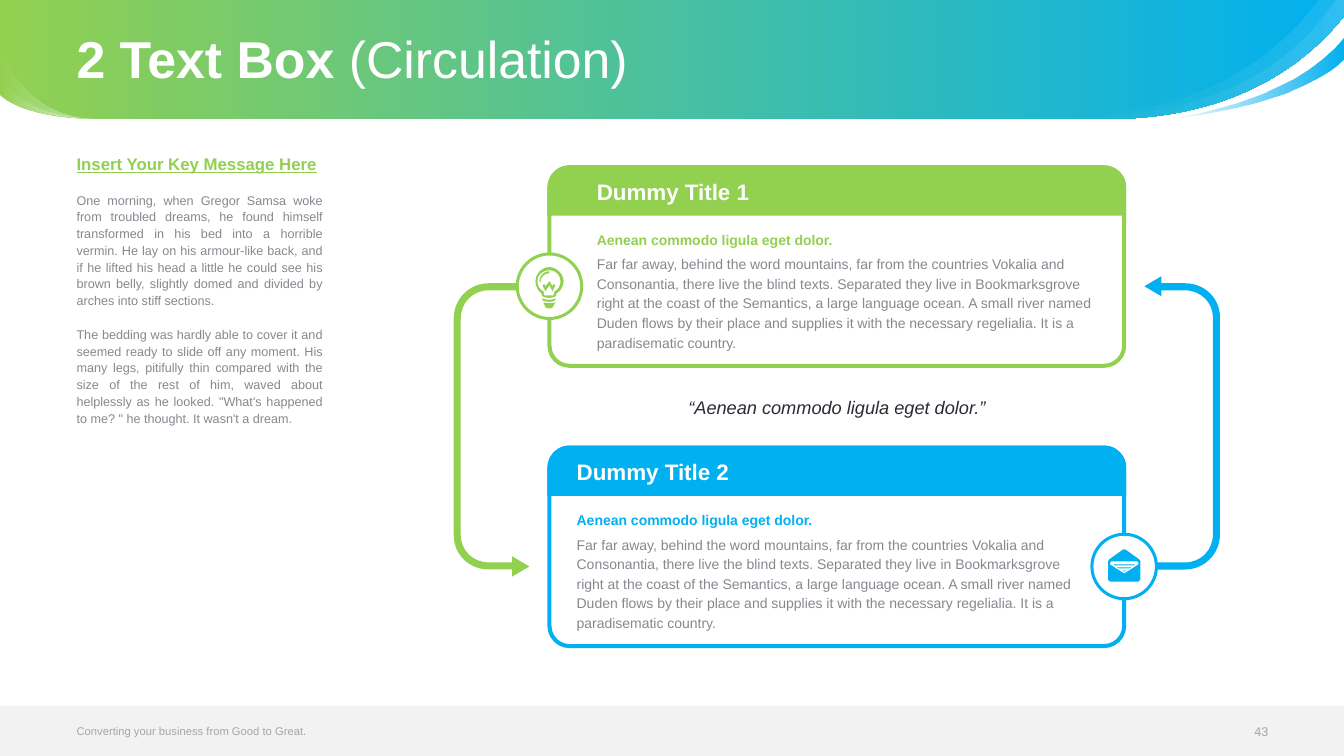
import pptx
import pptx.util
import pptx.dml.color
import pptx.enum.shapes
import pptx.enum.text
import pptx.oxml.ns
import lxml.etree

Inches, Pt = pptx.util.Inches, pptx.util.Pt
SHAPE = pptx.enum.shapes.MSO_SHAPE
ALIGN = pptx.enum.text.PP_ALIGN
MIDDLE = pptx.enum.text.MSO_ANCHOR.MIDDLE
qn = pptx.oxml.ns.qn

COLORS = {"green": "92D050", "blue": "00B0F0", "white": "FFFFFF", "band": "F2F2F2",
          "body": "85898F", "footer": "A6A6A6", "quote": "292C34"}

TITLE = [("2 Text Box ", True), ("(Circulation)", False)]
KEY_MESSAGE = "Insert Your Key Message Here"
STORY = [
    "One morning, when Gregor Samsa woke from troubled dreams, he found himself transformed in his bed into a horrible vermin. He lay on his armour-like back, and if he lifted his head a little he could see his brown belly, slightly domed and divided by arches into stiff sections.",
    "The bedding was hardly able to cover it and seemed ready to slide off any moment. His many legs, pitifully thin compared with the size of the rest of him, waved about helplessly as he looked. \"What's happened to me? \" he thought. It wasn't a dream.",
]
SUBTITLE = "Aenean commodo ligula eget dolor."
QUOTE = "“Aenean commodo ligula eget dolor.”"
CARD_TEXT = "Far far away, behind the word mountains, far from the countries Vokalia and Consonantia, there live the blind texts. Separated they live in Bookmarksgrove right at the coast of the Semantics, a large language ocean. A small river named Duden flows by their place and supplies it with the necessary regelialia. It is a paradisematic country."
FOOTER = "Converting your business from Good to Great."
PAGE = "43"

HEADER_PARTS = [
    ([(13.33, 0), (13.33, 0.16), (12.66, 1, 11.7, 1.17, 11.05, 1.18), (0.97, 1.18),
      (0.18, 1.17, 0, 0.94, 0, 0.94), (0, 0)],
     [(0, "green", 100), (1, "blue", 100)]),
    ([(13.33, 0), (13.33, 0.16), (12.24, 1.53, 10.39, 1.13, 10.34, 1.12),
      (10.4, 1.12, 12.32, 1.39, 13.24, 0)],
     [(0.15, "white", 0), (1, "white", 10)]),
    ([(11.57, 1.18), (11.57, 1.18, 12.82, 1.03, 13.33, 0.37), (13.33, 0.59),
      (13.33, 0.59, 12.94, 1.04, 11.57, 1.18)],
     [(0, "blue", 0), (1, "blue", 100)]),
    ([(13.33, 0), (13.33, 0.16), (12.23, 1.55, 10.34, 1.12, 10.34, 1.12),
      (11.89, 1.22, 12.7, 0.5, 13.07, 0)],
     [(0.15, "white", 0), (1, "white", 10)]),
] + [
    ([(0.98, 1.18), (0.18, 1.17, 0, 0.94, 0, 0.94), (0, top),
      (0, top, 0.18, 1.17, 0.98, 1.18)],
     [(0, "white", 0), (1, "white", 50)])
    for top in (0.76, 0.45)
]
ARROW = [(5.25, 5.62), (5.08, 5.52), (5.08, 5.58), (4.85, 5.58),
         (4.69, 5.58, 4.57, 5.46, 4.57, 5.31), (4.57, 3.16),
         (4.57, 3, 4.69, 2.88, 4.85, 2.88), (5.13, 2.88), (5.13, 2.81), (4.85, 2.81),
         (4.65, 2.81, 4.5, 2.97, 4.5, 3.16), (4.5, 5.31),
         (4.5, 5.5, 4.65, 5.65, 4.85, 5.65), (5.08, 5.65), (5.08, 5.72)]
BULB = [
    [(5.39, 3), (5.41, 3.05), (5.41, 3.05, 5.42, 3.06, 5.45, 3.06),
     (5.47, 3.06, 5.48, 3.05, 5.48, 3.05), (5.51, 3), (5.47, 3.01, 5.43, 3.01, 5.39, 3)],
    [(5.38, 2.96), (5.38, 2.98), (5.42, 3, 5.47, 3, 5.51, 2.98), (5.51, 2.96),
     (5.47, 2.98, 5.42, 2.98, 5.38, 2.96)],
    [(5.45, 2.65), (5.37, 2.65, 5.31, 2.72, 5.31, 2.79), (5.31, 2.84, 5.34, 2.89, 5.37, 2.91),
     (5.38, 2.94), (5.42, 2.96, 5.47, 2.96, 5.51, 2.94),
     (5.52, 2.91), (5.56, 2.89, 5.59, 2.84, 5.59, 2.79), (5.59, 2.72, 5.52, 2.65, 5.45, 2.65)],
    [(5.5, 2.89), (5.49, 2.93), (5.4, 2.93), (5.39, 2.89), (5.36, 2.88, 5.33, 2.84, 5.33, 2.79),
     (5.33, 2.73, 5.38, 2.68, 5.45, 2.68), (5.51, 2.68, 5.56, 2.73, 5.56, 2.79),
     (5.56, 2.84, 5.53, 2.88, 5.5, 2.89)],
    [(5.49, 2.82), (5.48, 2.84), (5.45, 2.79), (5.41, 2.84), (5.4, 2.82), (5.38, 2.83),
     (5.41, 2.89), (5.45, 2.83), (5.48, 2.89), (5.51, 2.83)],
    [(5.45, 2.71), (5.45, 2.69), (5.39, 2.69, 5.35, 2.74, 5.35, 2.79), (5.36, 2.8),
     (5.36, 2.75, 5.4, 2.71, 5.45, 2.71)],
]
ENVELOPE = [
    [(11.3, 5.55), (11.16, 5.45), (11.14, 5.45), (11, 5.55), (10.99, 5.57), (10.99, 5.75),
     (11.01, 5.77), (11.29, 5.77), (11.31, 5.75), (11.31, 5.57)],
    [(11.29, 5.6), (11.15, 5.69), (11.01, 5.6), (11.01, 5.58), (11.02, 5.57), (11.28, 5.57),
     (11.29, 5.58)],
    [(11.15, 5.67), (11.18, 5.66), (11.13, 5.66)],
    [(11.05, 5.61), (11.25, 5.61), (11.25, 5.6), (11.05, 5.6)],
    [(11.1, 5.64), (11.2, 5.64), (11.22, 5.63), (11.08, 5.63)],
]
CARDS = [("Dummy Title 1", "green", 5.92, 5.45, BULB),
         ("Dummy Title 2", "blue", 5.72, 11.15, ENVELOPE)]
CARD_LEFT, CARD_TOP, CARD_W, CARD_H, CARD_STEP = 5.43, 1.64, 5.74, 2.01, 2.78
HEAD_H, BORDER, RADIUS, BADGE = 0.5, 0.04, 0.22, 0.64
CENTER = (8.3, 4.23)


def rgb(name):
    return pptx.dml.color.RGBColor.from_string(COLORS[name])


def style(s, fill=None, line=None, width=0):
    s.shadow.inherit = False
    if fill:
        s.fill.solid()
        s.fill.fore_color.rgb = rgb(fill)
    if line:
        s.line.color.rgb = rgb(line)
        s.line.width = Inches(width)
    else:
        s.line.fill.background()
    return s


def add_outline(contours, fill=None):
    ends = [[(Inches(part[-2]), Inches(part[-1])) for part in c] for c in contours]
    builder = slide.shapes.build_freeform(*ends[0][0])
    for i, points in enumerate(ends):
        if i:
            builder.move_to(*points[0])
        builder.add_line_segments(points[1:], close=False)
    s = builder.convert_to_shape()
    path = next(s._element.iter(qn("a:path")))
    segments = iter(path.findall(qn("a:lnTo")))
    for contour in contours:
        for part in contour[1:]:
            segment = next(segments)
            if len(part) == 6:
                segment.tag = qn("a:cubicBezTo")
                for i, k in enumerate((0, 2)):
                    pt = lxml.etree.Element(qn("a:pt"))
                    pt.set("x", str(Inches(part[k]) - s.left))
                    pt.set("y", str(Inches(part[k + 1]) - s.top))
                    segment.insert(i, pt)
        segment.addnext(lxml.etree.Element(qn("a:close")))
    return style(s, fill)


def add_gradient(contour, stops):
    s = add_outline([contour])
    s.fill.gradient()
    s.fill.gradient_angle = 0
    for stop, (position, color, _) in zip(s.fill.gradient_stops, stops):
        stop.position = position
        stop.color.rgb = rgb(color)
    for clr, (_, _, opacity) in zip(s._element.spPr.iter(qn("a:srgbClr")), stops):
        lxml.etree.SubElement(clr, qn("a:alpha")).set("val", str(opacity * 1000))


def add_preset(kind, x, y, w, h, fill, line=None, width=0):
    s = slide.shapes.add_shape(kind, Inches(x), Inches(y), Inches(w), Inches(h))
    return style(s, fill, line, width)


def set_font(font, size, color, bold=False):
    font.name, font.size, font.bold = "Arial", Pt(size), bold
    font.color.rgb = rgb(color)


def add_text(x, y, w, h, texts, size, color, bold=False, align=ALIGN.LEFT, spacing=None,
             gap=0, anchor=None):
    tf = slide.shapes.add_textbox(Inches(x), Inches(y), Inches(w), Inches(h)).text_frame
    tf.word_wrap = True
    tf.margin_left = tf.margin_top = tf.margin_right = tf.margin_bottom = 0
    if anchor is not None:
        tf.vertical_anchor = anchor
    for i, text in enumerate(texts):
        p = tf.add_paragraph() if i else tf.paragraphs[0]
        p.text = text
        p.alignment = align
        if spacing:
            p.line_spacing = spacing
        if i:
            p.space_before = Pt(gap)
        set_font(p.font, size, color, bold)
    return tf


prs = pptx.Presentation()
prs.slide_width, prs.slide_height = Inches(13.33), Inches(7.5)
slide = prs.slides.add_slide(prs.slide_layouts[6])

for contour, stops in HEADER_PARTS:
    add_gradient(contour, stops)
add_preset(SHAPE.RECTANGLE, 0, 7, 13.33, 0.5, "band")

p = add_text(0.76, 0.05, 11.81, 1.13, [""], 37, "white", spacing=0.9, anchor=MIDDLE).paragraphs[0]
for text, bold in TITLE:
    r = p.add_run()
    r.text, r.font.bold = text, bold

tf = add_text(0.76, 1.56, 2.44, 5.19, [KEY_MESSAGE] + STORY, 9, "body",
              align=ALIGN.JUSTIFY, spacing=Pt(12), gap=12)
set_font(tf.paragraphs[0].font, 12, "green", True)
tf.paragraphs[0].font.underline = True

add_text(0.76, 7.12, 5.23, 0.26, [FOOTER], 8, "footer", anchor=MIDDLE)
add_text(11.95, 7.13, 0.63, 0.26, [PAGE], 9, "footer", align=ALIGN.RIGHT, anchor=MIDDLE)

add_outline([ARROW], "green")
add_outline([[tuple(2 * CENTER[k % 2] - v for k, v in enumerate(part)) for part in ARROW]], "blue")

for i, (title, color, text_x, badge_x, icon) in enumerate(CARDS):
    dy = i * CARD_STEP
    top = CARD_TOP + dy
    inner_h = CARD_H - BORDER
    frame = add_preset(SHAPE.ROUNDED_RECTANGLE, CARD_LEFT + BORDER / 2, top + BORDER / 2,
                       CARD_W - BORDER, inner_h, "white", color, BORDER)
    frame.adjustments[0] = (RADIUS - BORDER / 2) / inner_h
    head = add_preset(SHAPE.ROUND_2_SAME_RECTANGLE, CARD_LEFT, top, CARD_W, HEAD_H, color)
    head.adjustments[0] = RADIUS / HEAD_H
    add_preset(SHAPE.OVAL, badge_x - BADGE / 2, top + 1.2 - BADGE / 2, BADGE, BADGE,
               "white", color, 0.03)
    add_outline(icon, color)
    add_text(text_x, 1.77 + dy, 5.04, 0.27, [title], 16, "white", True)
    add_text(text_x, 2.27 + dy, 5.04, 0.2, [SUBTITLE], 10, color, True, spacing=Pt(14))
    add_text(text_x, 2.51 + dy, 5.04, 0.98, [CARD_TEXT], 10, "body", spacing=Pt(14))

tf = add_text(5.9, 3.95, 4.8, 0.2, [QUOTE], 13, "quote", align=ALIGN.CENTER, spacing=Pt(14))
tf.paragraphs[0].font.italic = True

prs.save("out.pptx")
